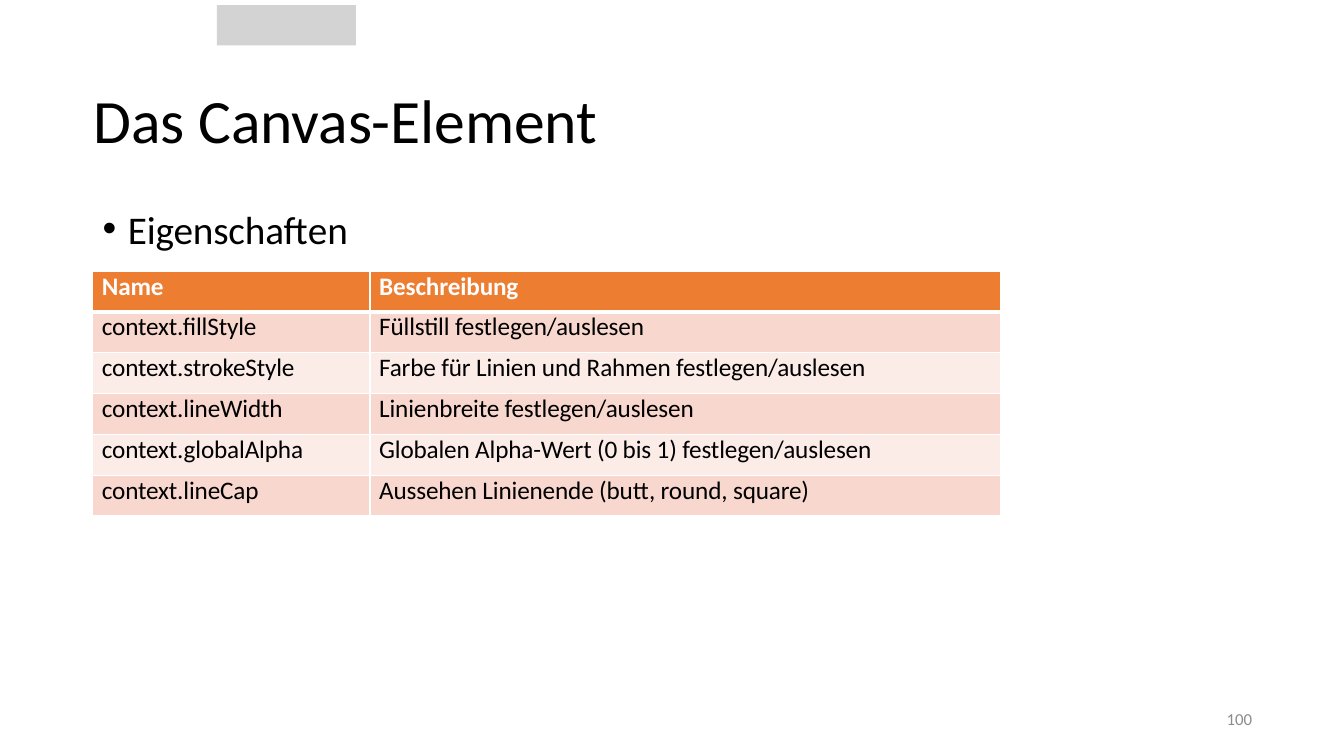
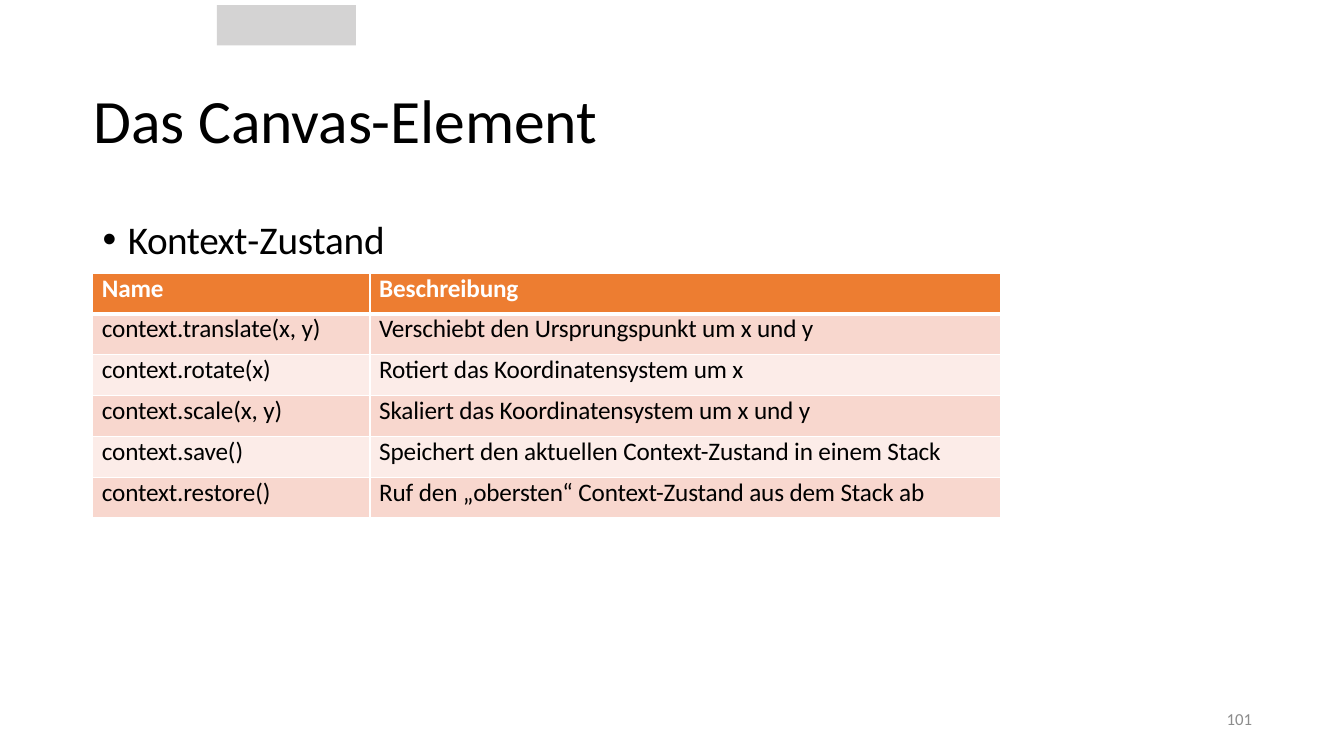
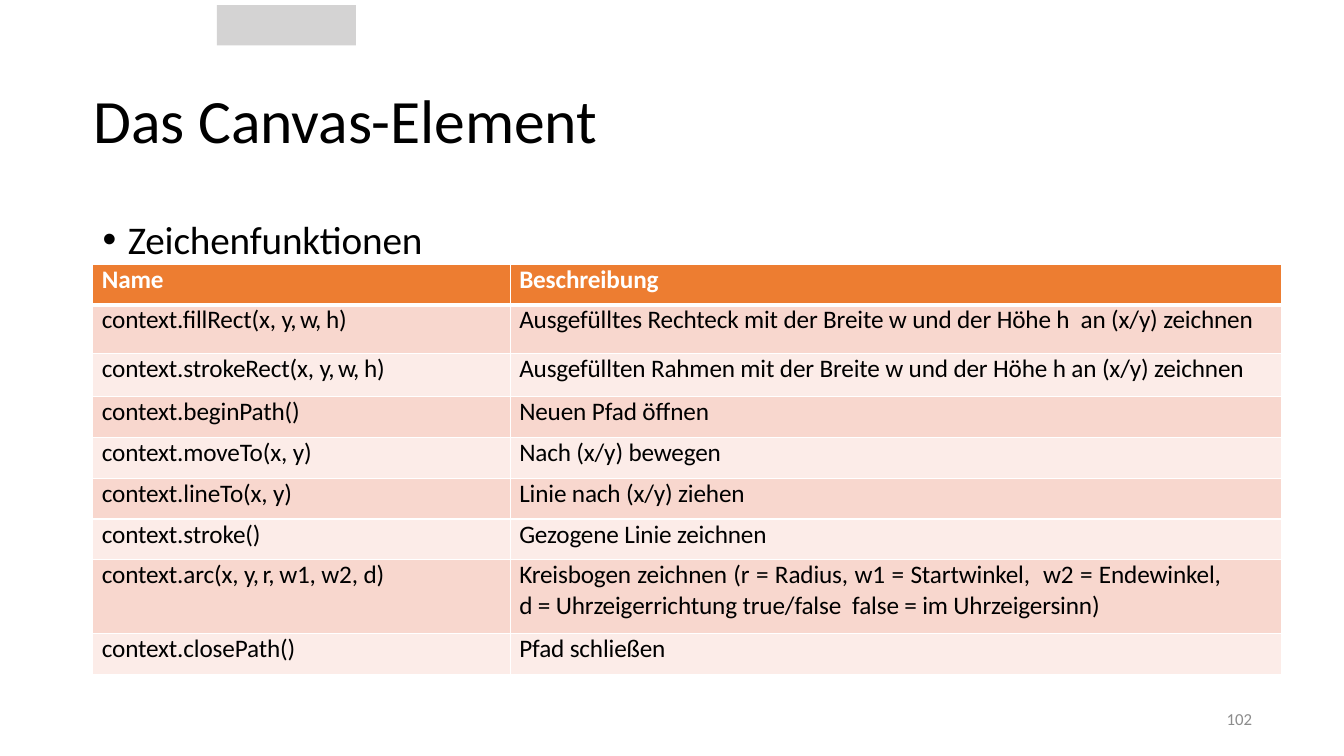
from pptx import Presentation
from pptx.dml.color import RGBColor
from pptx.enum.shapes import MSO_SHAPE
from pptx.enum.text import MSO_ANCHOR, PP_ALIGN
from pptx.oxml.ns import qn
from pptx.util import Inches, Pt
from lxml.etree import SubElement

FONT = "Calibri"
BLACK, WHITE, GREY, BAR_GREY = "000000", "FFFFFF", "8C8C8C", "D4D3D3"
HEADER_FILL, BAND_FILLS = "ED7D31", ("F8D7CE", "FCECE8")
LEFT, CONTENT_WIDTH = 0.92, 11.5
ROW_HEIGHT = 2.43 / 6
TRACKING, TIGHT = -0.1, -0.75


def colour(value):
    return RGBColor.from_string(value)


def add_spans(para, pieces, size, ink, bold=False, tracking=TRACKING):
    for piece in [pieces] if isinstance(pieces, str) else pieces:
        text, spacing = (piece, tracking) if isinstance(piece, str) else piece
        span = para.add_run()
        span.text = text
        span.font.name, span.font.size, span.font.bold = FONT, Pt(size), bold
        span.font.color.rgb = colour(ink)
        span.font._element.set("spc", str(round(spacing * 100)))


def indent(para, left, first=0):
    properties = para._p.get_or_add_pPr()
    properties.set("marL", str(Inches(left)))
    properties.set("indent", str(Inches(first)))
    return properties


def add_text_box(page, box, inset=True, anchor=MSO_ANCHOR.TOP):
    frame = page.shapes.add_textbox(*map(Inches, box)).text_frame
    frame.word_wrap = True
    frame.vertical_anchor = anchor
    if not inset:
        frame.margin_left = frame.margin_right = 0
        frame.margin_top = frame.margin_bottom = 0
    return frame.paragraphs[0]


def add_header_bar(page, box):
    bar = page.shapes.add_shape(MSO_SHAPE.RECTANGLE, *map(Inches, box))
    bar.shadow.inherit = False
    bar.fill.solid()
    bar.fill.fore_color.rgb = colour(BAR_GREY)
    bar.line.fill.background()


def add_title(page, box, title):
    para = add_text_box(page, box, False, MSO_ANCHOR.MIDDLE)
    indent(para, 0.01)
    add_spans(para, title, 44, BLACK)


def add_bullet(page, box, pieces):
    para = add_text_box(page, box)
    para.line_spacing, para.space_before = 1.5, Pt(10)
    properties = indent(para, 0.25, -0.25)
    SubElement(properties, qn("a:buFont"), typeface="Arial")
    SubElement(properties, qn("a:buChar"), char="•")
    add_spans(para, pieces, 28, BLACK)


def add_page_number(page, box, number):
    para = add_text_box(page, box, False, MSO_ANCHOR.MIDDLE)
    para.alignment, para.line_spacing = PP_ALIGN.RIGHT, Pt(12.4)
    add_spans(para, str(number), 12, GREY, tracking=0)


def set_borders(cell, bottom_width):
    properties = cell._tc.get_or_add_tcPr()
    widths = {"lnL": 1, "lnR": 1, "lnT": 1, "lnB": bottom_width}
    for position, (side, width) in enumerate(widths.items()):
        line = properties.makeelement(qn("a:" + side), {"w": str(Pt(width))})
        fill = SubElement(line, qn("a:solidFill"))
        SubElement(fill, qn("a:srgbClr"), val=WHITE)
        properties.insert(position, line)


def fill_cell(cell, pieces, row):
    header = row == 0
    cell.fill.solid()
    cell.fill.fore_color.rgb = colour(HEADER_FILL if header else BAND_FILLS[(row - 1) % 2])
    cell.margin_left = cell.margin_right = cell.margin_top = cell.margin_bottom = 0
    set_borders(cell, 3 if header else 1)
    para = cell.text_frame.paragraphs[0]
    para.space_before = Pt(0.9 if row == 1 else 1.9)
    indent(para, 0.09)
    add_spans(para, pieces, 18, WHITE if header else BLACK, header)


def add_reference_table(page, left, top, columns, rows, tall_rows):
    rows = [("Name", "Beschreibung")] + rows
    heights = [tall_rows.get(index, ROW_HEIGHT) for index in range(len(rows))]
    table = page.shapes.add_table(
        len(rows), len(columns), Inches(left), Inches(top),
        Inches(sum(columns)), Inches(sum(heights))).table
    table.first_row = table.horz_banding = False
    for column, width in zip(table.columns, columns):
        column.width = Inches(width)
    for index, (row, height) in enumerate(zip(rows, heights)):
        table.rows[index].height = Inches(height)
        for position, pieces in enumerate(row):
            fill_cell(table.cell(index, position), pieces, index)
    return table


def add_reference_page(deck, number, bullet, bullet_top, table_top, rows,
                       columns=(2.75, 6.25), tall_rows={}):
    page = deck.slides.add_slide(deck.slide_layouts[6])
    add_header_bar(page, (2.15, 0.05, 1.38, 0.4))
    add_title(page, (LEFT, 0.5, CONTENT_WIDTH, 1.35), "Das Canvas-Element")
    add_bullet(page, (LEFT, bullet_top, CONTENT_WIDTH, 4.91), bullet)
    add_page_number(page, (9.42, 6.95, 3, 0.4), number)
    return add_reference_table(page, LEFT, table_top, columns, rows, tall_rows)


PROPERTIES = [
    ("context.fillStyle", "Füllstill festlegen/auslesen"),
    ("context.strokeStyle", "Farbe für Linien und Rahmen festlegen/auslesen"),
    ("context.lineWidth", "Linienbreite festlegen/auslesen"),
    ("context.globalAlpha", "Globalen Alpha-Wert (0 bis 1) festlegen/auslesen"),
    ("context.lineCap", "Aussehen Linienende (butt, round, square)"),
]
STATE = [
    ("context.translate(x, y)", "Verschiebt den Ursprungspunkt um x und y"),
    ("context.rotate(x)", "Rotiert das Koordinatensystem um x"),
    ("context.scale(x, y)", "Skaliert das Koordinatensystem um x und y"),
    ("context.save()", "Speichert den aktuellen Context-Zustand in einem Stack"),
    ("context.restore()", "Ruf den „obersten“ Context-Zustand aus dem Stack ab"),
]
DRAWING = [
    (("context.fillRect(x, ", ("y, w, ", TIGHT), "h)"),
     "Ausgefülltes Rechteck mit der Breite w und der Höhe h  an (x/y) zeichnen"),
    (("context.strokeRect(x, ", ("y, w, ", TIGHT), "h)"),
     "Ausgefüllten Rahmen mit der Breite w und der Höhe h an (x/y) zeichnen"),
    ("context.beginPath()", "Neuen Pfad öffnen"),
    ("context.moveTo(x, y)", "Nach (x/y) bewegen"),
    ("context.lineTo(x, y)", "Linie nach (x/y) ziehen"),
    ("context.stroke()", "Gezogene Linie zeichnen"),
    (("context.arc(x, ", ("y, r, ", TIGHT), "w1, w2, d)"),
     "Kreisbogen zeichnen (r = Radius, w1 = Startwinkel,  w2 = Endewinkel, "
     "d = Uhrzeigerrichtung true/false  false = im Uhrzeigersinn)"),
    ("context.closePath()", "Pfad schließen"),
]


def main():
    deck = Presentation()
    deck.slide_width, deck.slide_height = Inches(13.33), Inches(7.5)
    add_reference_page(deck, 100, "Eigenschaften", 1.75, 2.69, PROPERTIES)
    add_reference_page(deck, 101, (("Kontext", -0.3), "-Zustand"), 1.85, 2.71, STATE)
    drawing_table = add_reference_page(
        deck, 102, "Zeichenfunktionen", 1.85, 2.62, DRAWING,
        (4.14, 7.65), {1: 0.48, 2: 0.43, 7: 0.73})
    arc_cell = drawing_table.cell(7, 1)
    arc_cell.margin_right = Inches(0.6)
    arc_cell.text_frame.paragraphs[0].alignment = PP_ALIGN.JUSTIFY
    deck.save("out.pptx")


if __name__ == "__main__":
    main()
